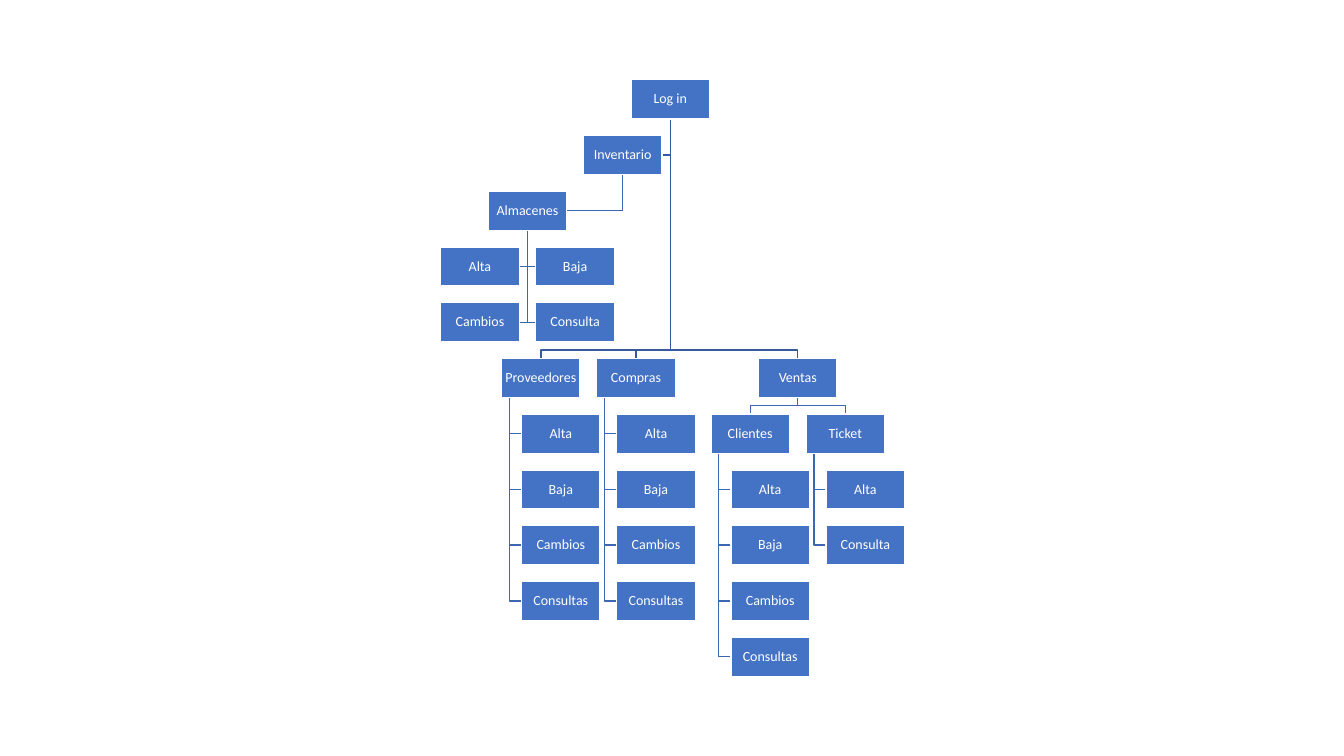
"""Build an organisation chart of the menus that follow a log in."""
import pptx
import pptx.dml.color
import pptx.enum.shapes
import pptx.enum.text
import pptx.util
import lxml.etree

BOX_WIDTH, BOX_HEIGHT = 0.78, 0.39
LEFT, TOP = 4.37, 0.79
COLUMN = BOX_WIDTH * 1.21
ROW = (6.32 - TOP) / 10
INDENT = 0.21
INSET = pptx.util.Inches(0.01)
FRAME_FORMAT = {
    "margin_left": INSET, "margin_right": INSET,
    "margin_top": INSET, "margin_bottom": INSET,
    "vertical_anchor": pptx.enum.text.MSO_ANCHOR.MIDDLE, "word_wrap": True,
}
PARAGRAPH_FORMAT = {
    "alignment": pptx.enum.text.PP_ALIGN.CENTER,
    "line_spacing": 0.9, "space_after": pptx.util.Pt(3.5),
}
FONT_FORMAT = {"name": "Calibri", "size": pptx.util.Pt(10)}

# label, column, row, parent, route
boxes = [
    ("Log in", 2, 0, None, None),
    ("Inventario", 1.5, 1, "Log in", "side"),
    ("Almacenes", 0.5, 2, "Inventario", "side"),
    ("Alta", 0, 3, "Almacenes", "side"),
    ("Baja", 1, 3, "Almacenes", "side"),
    ("Cambios", 0, 4, "Almacenes", "side"),
    ("Consulta", 1, 4, "Almacenes", "side"),
    ("Proveedores", 0.64, 5, "Log in", "fork"),
    ("Compras", 1.64, 5, "Log in", "fork"),
    ("Ventas", 3.34, 5, "Log in", "fork"),
    ("Clientes", 2.84, 6, "Ventas", "fork"),
    ("Ticket", 3.84, 6, "Ventas", "fork"),
]
places = {label: (column, row) for label, column, row, parent, route in boxes}
actions = ["Alta", "Baja", "Cambios", "Consultas"]
menus = {"Proveedores": actions, "Compras": actions, "Clientes": actions,
         "Ticket": ["Alta", "Consulta"]}
for menu, entries in menus.items():
    column, row = places[menu]
    for step, entry in enumerate(entries, start=1):
        boxes.append((entry, column + INDENT, row + step, menu, "hang"))


def color(hex_string):
    return pptx.dml.color.RGBColor.from_string(hex_string)


def corner(column, row):
    return LEFT + column * COLUMN, TOP + row * ROW


presentation = pptx.Presentation()
presentation.slide_width = pptx.util.Inches(13.33)
presentation.slide_height = pptx.util.Inches(7.5)
slide = presentation.slides.add_slide(presentation.slide_layouts[6])

for label, column, row, parent, route in boxes:
    if parent is None:
        continue
    left, top = corner(column, row)
    parent_left, parent_top = corner(*places[parent])
    start_x = parent_left + BOX_WIDTH * (0.1 if route == "hang" else 0.5)
    start_y = parent_top + BOX_HEIGHT
    if route == "fork":
        center = left + BOX_WIDTH / 2
        bend = top - (ROW - BOX_HEIGHT) / 2
        points = [(start_x, bend), (center, bend), (center, top)]
    else:
        middle = top + BOX_HEIGHT / 2
        near_side = left if left > start_x else left + BOX_WIDTH
        points = [(start_x, middle), (near_side, middle)]
    builder = slide.shapes.build_freeform(
        pptx.util.Inches(start_x), pptx.util.Inches(start_y))
    builder.add_line_segments(
        [(pptx.util.Inches(x), pptx.util.Inches(y)) for x, y in points], close=False)
    branch = builder.convert_to_shape()
    branch.shadow.inherit = False
    branch.fill.background()
    branch.line.color.rgb = color("365B9D" if parent == "Log in" else "3E67B2")
    branch.line.width = pptx.util.Pt(1)

for label, column, row, parent, route in boxes:
    left, top = corner(column, row)
    box = slide.shapes.add_shape(
        pptx.enum.shapes.MSO_SHAPE.RECTANGLE,
        *(pptx.util.Inches(length) for length in (left, top, BOX_WIDTH, BOX_HEIGHT)))
    box.shadow.inherit = False
    box.fill.solid()
    box.fill.fore_color.rgb = color("4472C4")
    box.line.color.rgb = color("FFFFFF")
    box.line.width = pptx.util.Pt(1)
    paragraph = box.text_frame.paragraphs[0]
    paragraph.text = label
    font = paragraph.runs[0].font
    font.color.rgb = color("FFFFFF")
    for target, values in ((box.text_frame, FRAME_FORMAT),
                           (paragraph, PARAGRAPH_FORMAT), (font, FONT_FORMAT)):
        for name, value in values.items():
            setattr(target, name, value)

presentation.save("out.pptx")
